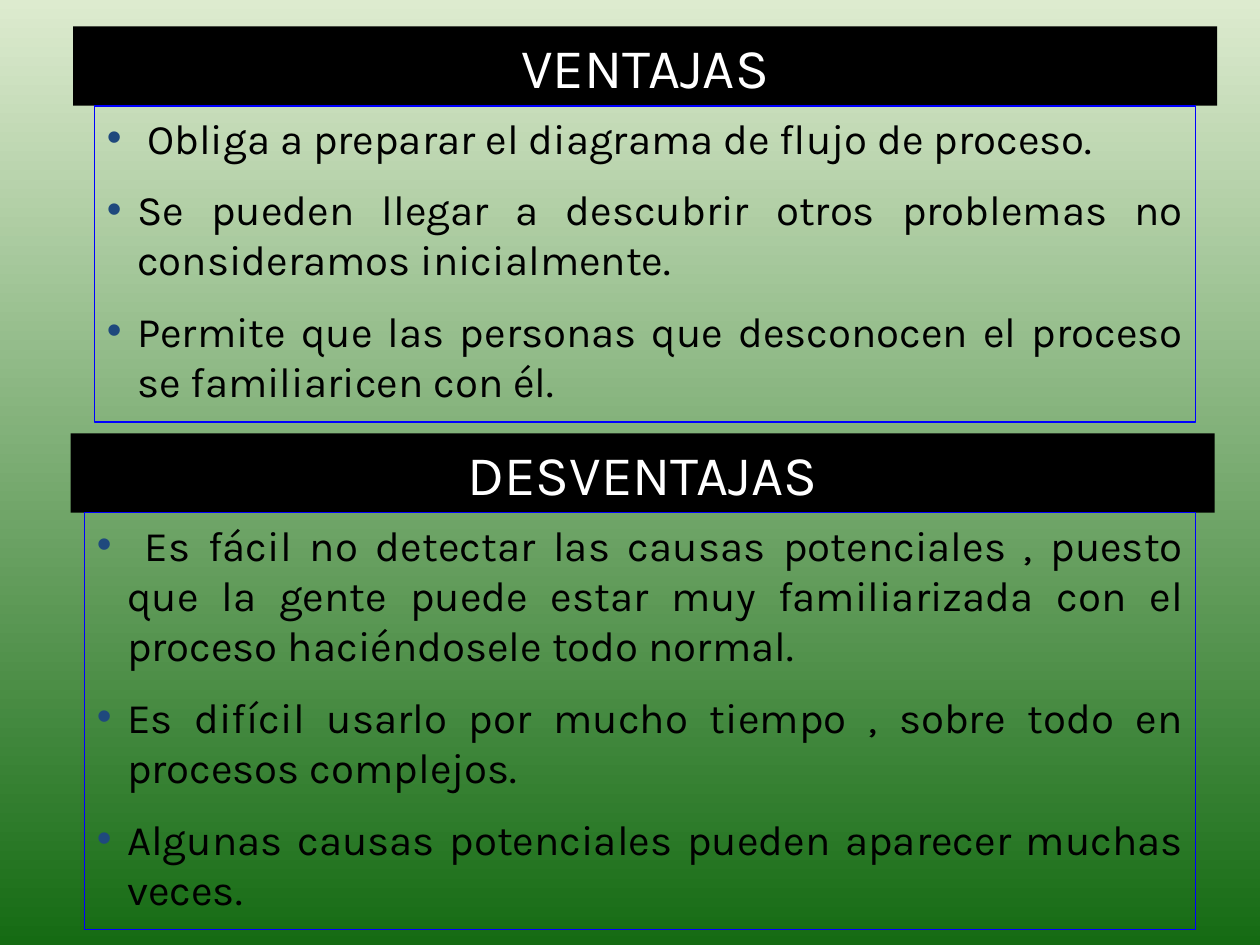
from dataclasses import dataclass

from lxml.etree import SubElement
from pptx import Presentation
from pptx.dml.color import RGBColor
from pptx.enum.text import MSO_ANCHOR, MSO_AUTO_SIZE, PP_ALIGN
from pptx.oxml.ns import qn
from pptx.util import Inches, Pt


@dataclass(frozen=True)
class Theme:
    """Colours, font and type sizes of the slide."""

    font: str = "Karla"
    title_size: int = 32
    body_size: int = 24
    paragraph_gap: int = 12
    bullet_indent: float = 0.24
    black: str = "000000"
    white: str = "FFFFFF"
    border: str = "0000FF"
    bullet: str = "1F497D"
    background_top: str = "DDEBCF"
    background_bottom: str = "156B13"


@dataclass(frozen=True)
class Area:
    """Position and size in inches."""

    left: float
    top: float
    width: float
    height: float


@dataclass(frozen=True)
class Section:
    """A heading bar with the bulleted list below it."""

    title: str
    title_area: Area
    points: tuple[str, ...]
    points_area: Area


THEME = Theme()
SECTIONS = (
    Section(
        "VENTAJAS",
        Area(0.58, 0.21, 9.08, 0.63),
        (
            " Obliga a preparar el diagrama de flujo de proceso.",
            "Se pueden llegar a descubrir otros problemas no consideramos inicialmente.",
            "Permite que las personas que desconocen el proceso se familiaricen con él.",
        ),
        Area(0.75, 0.84, 8.74, 2.51),
    ),
    Section(
        "DESVENTAJAS",
        Area(0.56, 3.44, 9.08, 0.63),
        (
            " Es fácil no detectar las causas potenciales , puesto que la gente puede "
            "estar muy familiarizada con el proceso haciéndosele todo normal.",
            "Es difícil usarlo por mucho tiempo , sobre todo en procesos complejos.",
            "Algunas causas potenciales pueden aparecer muchas veces.",
        ),
        Area(0.67, 4.07, 8.82, 3.31),
    ),
)


def colour(value: str) -> RGBColor:
    """Turn a hexadecimal value into a colour."""
    return RGBColor.from_string(value)


def paint_background(page) -> None:
    """Fill the page with a gradient running from top to bottom."""
    fill = page.background.fill
    fill.gradient()
    fill.gradient_angle = 270
    ends = (THEME.background_top, THEME.background_bottom)
    for position, (stop, value) in enumerate(zip(fill.gradient_stops, ends)):
        stop.position = position
        stop.color.rgb = colour(value)


def add_box(page, area: Area):
    """Add a wrapping text box of fixed size."""
    box = page.shapes.add_textbox(
        Inches(area.left), Inches(area.top), Inches(area.width), Inches(area.height)
    )
    frame = box.text_frame
    frame.word_wrap = True
    frame.auto_size = MSO_AUTO_SIZE.NONE
    frame.vertical_anchor = MSO_ANCHOR.TOP
    return box


def add_bullet(para) -> None:
    """Give a paragraph a coloured bullet and a hanging indent."""
    properties = para._p.get_or_add_pPr()
    indent = Inches(THEME.bullet_indent)
    properties.set("marL", str(indent))
    properties.set("indent", str(-indent))
    bullet_colour = SubElement(properties, qn("a:buClr"))
    SubElement(bullet_colour, qn("a:srgbClr"), val=THEME.bullet)
    SubElement(properties, qn("a:buFont"), typeface="Arial")
    SubElement(properties, qn("a:buChar"), char="•")


def write(para, text: str, *, size: int, ink: str, align: PP_ALIGN,
          bullet: bool = False, before: int = 0) -> None:
    """Write one formatted paragraph."""
    if bullet:
        add_bullet(para)
    para.alignment = align
    para.space_before = Pt(before)
    span = para.add_run()
    span.text = text
    span.font.name = THEME.font
    span.font.size = Pt(size)
    span.font.color.rgb = colour(ink)


def draw_section(page, section: Section) -> None:
    """Draw a heading bar and its framed list."""
    bar = add_box(page, section.title_area)
    bar.fill.solid()
    bar.fill.fore_color.rgb = colour(THEME.black)
    write(bar.text_frame.paragraphs[0], section.title, size=THEME.title_size,
          ink=THEME.white, align=PP_ALIGN.CENTER)

    box = add_box(page, section.points_area)
    box.line.color.rgb = colour(THEME.border)
    box.line.width = Pt(0.75)
    frame = box.text_frame
    for index, point in enumerate(section.points):
        para = frame.add_paragraph() if index else frame.paragraphs[0]
        write(para, point, size=THEME.body_size, ink=THEME.black,
              align=PP_ALIGN.JUSTIFY, bullet=True,
              before=THEME.paragraph_gap if index else 0)


def main() -> None:
    """Build and save the deck."""
    deck = Presentation()
    deck.slide_width, deck.slide_height = Inches(10), Inches(7.5)
    page = deck.slides.add_slide(deck.slide_layouts[6])
    paint_background(page)
    for section in SECTIONS:
        draw_section(page, section)
    deck.save("out.pptx")


if __name__ == "__main__":
    main()
